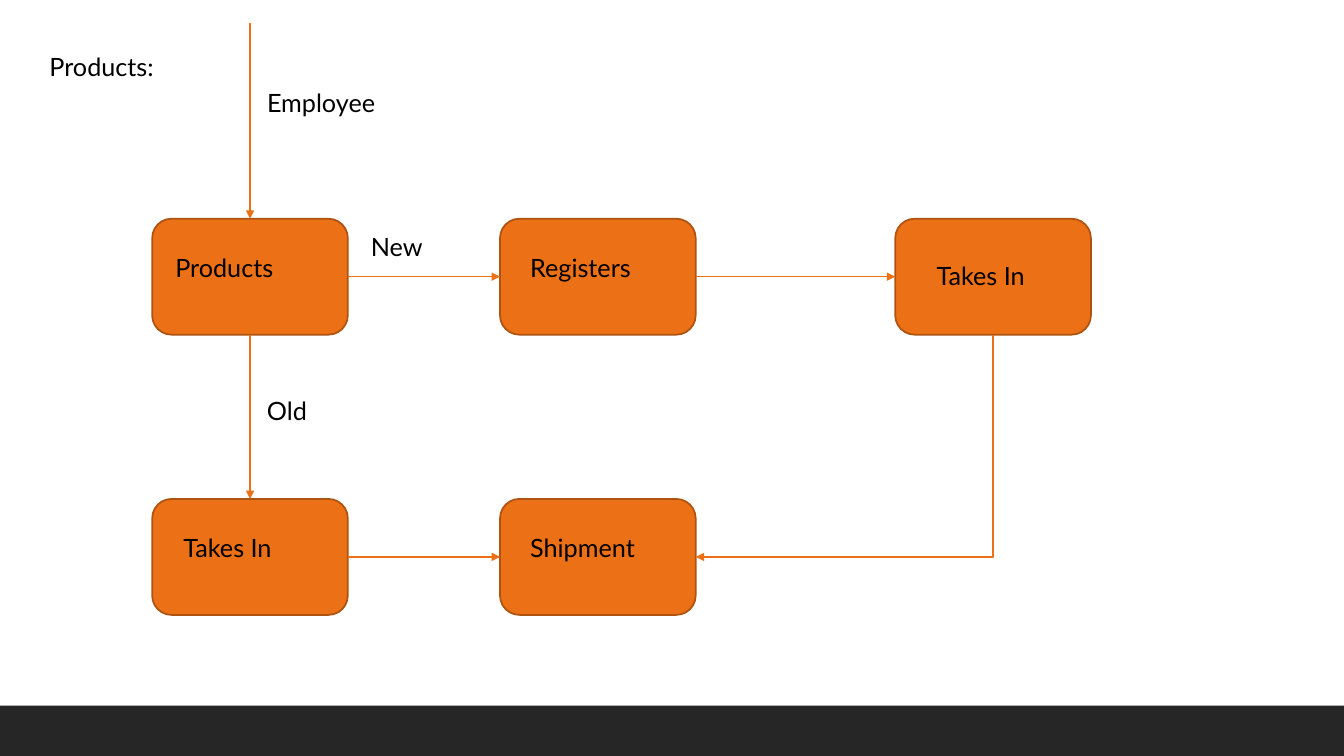
from dataclasses import dataclass

from lxml import etree
from pptx import Presentation
from pptx.dml.color import RGBColor as RGB
from pptx.enum.shapes import MSO_CONNECTOR as CONN, MSO_SHAPE as SHAPE
from pptx.enum.text import MSO_ANCHOR as ANCHOR, MSO_AUTO_SIZE as FIT, PP_ALIGN as ALIGN
from pptx.oxml.ns import qn
from pptx.util import Inches, Pt

TOP, LEFT, BOTTOM, RIGHT = range(4)


@dataclass(frozen=True)
class Theme:
    font: str = "Lato"
    size: Pt = Pt(18)
    text: RGB = RGB(0, 0, 0)
    box: RGB = RGB(0xEC, 0x70, 0x16)
    outline: RGB = RGB(0xAF, 0x53, 0x10)
    bar: RGB = RGB(0x26, 0x26, 0x26)
    box_line: Pt = Pt(1.25)
    arrow_line: Pt = Pt(1)


class FlowSlide:
    def __init__(self, prs, theme):
        self.theme = theme
        self.slide = prs.slides.add_slide(prs.slide_layouts[5])
        self.shapes = self.slide.shapes

    def set_text(self, sp, text):
        tf = sp.text_frame
        tf.word_wrap = True
        tf.auto_size = FIT.NONE
        tf.vertical_anchor = ANCHOR.TOP
        p = tf.paragraphs[0]
        p.text = text
        p.alignment = ALIGN.LEFT
        p.font.name = self.theme.font
        p.font.size = self.theme.size
        p.font.color.rgb = self.theme.text

    def title(self, text, x, y, w, h):
        sp = self.shapes.title
        sp.left, sp.top, sp.width, sp.height = map(Inches, (x, y, w, h))
        self.set_text(sp, text)

    def label(self, text, x, y, w, h=0.4):
        self.set_text(self.shapes.add_textbox(*map(Inches, (x, y, w, h))), text)

    def block(self, kind, x, y, w, h, fill):
        sp = self.shapes.add_shape(kind, *map(Inches, (x, y, w, h)))
        sp.shadow.inherit = False
        sp.fill.solid()
        sp.fill.fore_color.rgb = fill
        sp.line.fill.background()
        return sp

    def box(self, x, y, w=1.94, h=1.15):
        sp = self.block(SHAPE.ROUNDED_RECTANGLE, x, y, w, h, self.theme.box)
        sp.line.color.rgb = self.theme.outline
        sp.line.width = self.theme.box_line
        return sp

    def arrow(self, target, side, source=None, source_side=None, start=(0, 0), kind=CONN.STRAIGHT):
        x, y = map(Inches, start)
        cx = self.shapes.add_connector(kind, x, y, x, y)
        if source is not None:
            cx.begin_connect(source, source_side)
        cx.end_connect(target, side)
        cx.line.color.rgb = self.theme.box
        cx.line.width = self.theme.arrow_line
        props = cx.element.spPr
        etree.SubElement(props.find(qn("a:ln")), qn("a:tailEnd"), type="triangle")
        etree.SubElement(props, qn("a:effectLst"))
        return cx

    def corner_arrow(self, source, target):
        cx = self.arrow(target, RIGHT, source, BOTTOM, kind=CONN.ELBOW)
        across, down = cx.width, cx.height
        shift = (across - down) // 2
        cx.left, cx.top = cx.left + shift, cx.top - shift
        cx.width, cx.height = down, across
        props = cx.element.spPr
        xfrm = props.find(qn("a:xfrm"))
        xfrm.attrib.pop("flipH", None)
        xfrm.set("rot", str(90 * 60000))
        props.find(qn("a:prstGeom")).set("prst", "bentConnector2")


def main():
    prs = Presentation()
    prs.slide_width, prs.slide_height = Inches(13.33), Inches(7.5)
    theme = Theme()
    s = FlowSlide(prs, theme)

    s.block(SHAPE.RECTANGLE, 0, 7, 13.33, 0.5, theme.bar)
    s.title("Products:", 0.39, 0.46, 4.16, 0.71)

    upper, lower = 2.17, 4.95
    products, registers, new_intake = [s.box(x, upper) for x in (1.51, 4.96, 8.88)]
    old_intake, shipment = [s.box(x, lower) for x in (1.51, 4.96)]

    s.arrow(products, TOP, start=(2.48, 0.23))
    s.arrow(registers, LEFT, products, RIGHT)
    s.arrow(new_intake, LEFT, registers, RIGHT)
    s.arrow(old_intake, TOP, products, BOTTOM)
    s.arrow(shipment, LEFT, old_intake, RIGHT)

    for text, x, y, w in (
        ("Employee", 2.55, 0.82, 1.42),
        ("Products", 1.64, 2.45, 1.58),
        ("New", 3.58, 2.25, 1.46),
        ("Old", 2.55, 3.87, 0.67),
        ("Registers", 5.16, 2.45, 1.46),
        ("Takes In", 9.19, 2.53, 1.22),
        ("Takes In", 1.72, 5.23, 1.49),
        ("Shipment", 5.16, 5.23, 1.52),
    ):
        s.label(text, x, y, w)

    s.corner_arrow(new_intake, shipment)
    prs.save("out.pptx")


if __name__ == "__main__":
    main()
